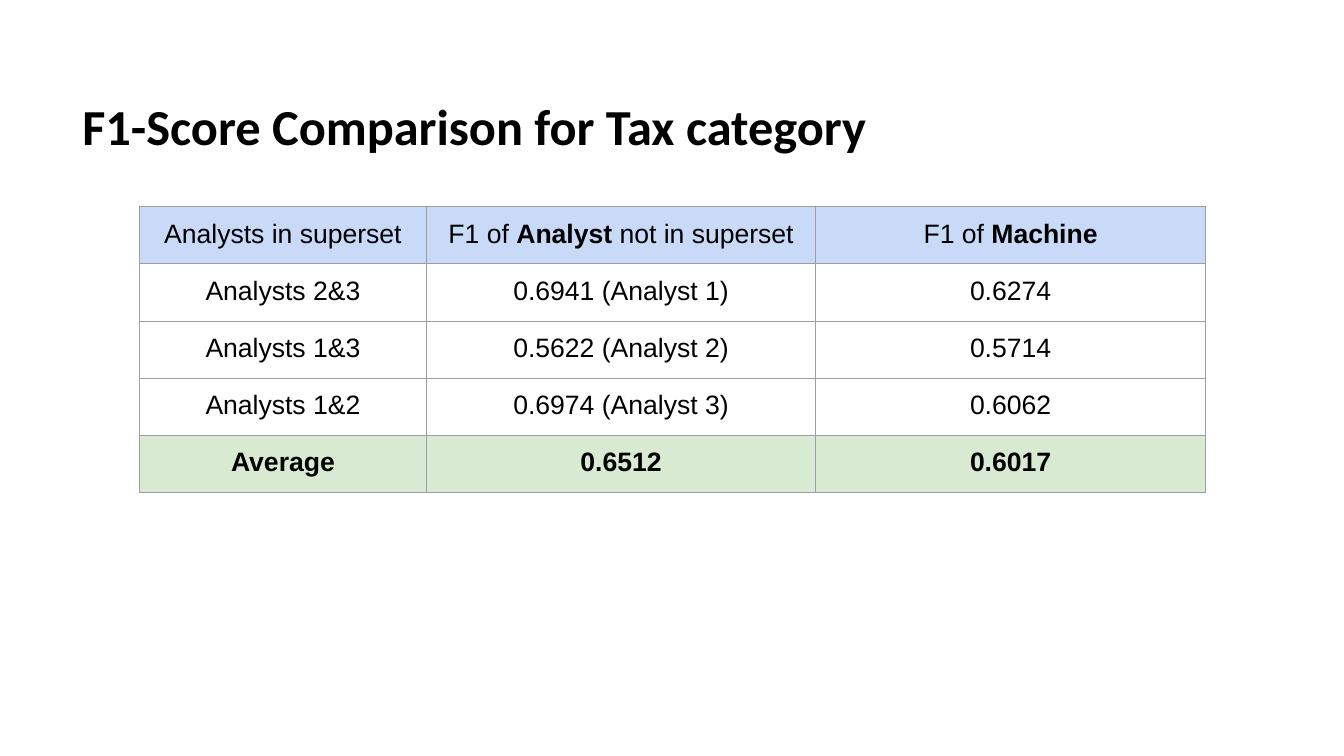
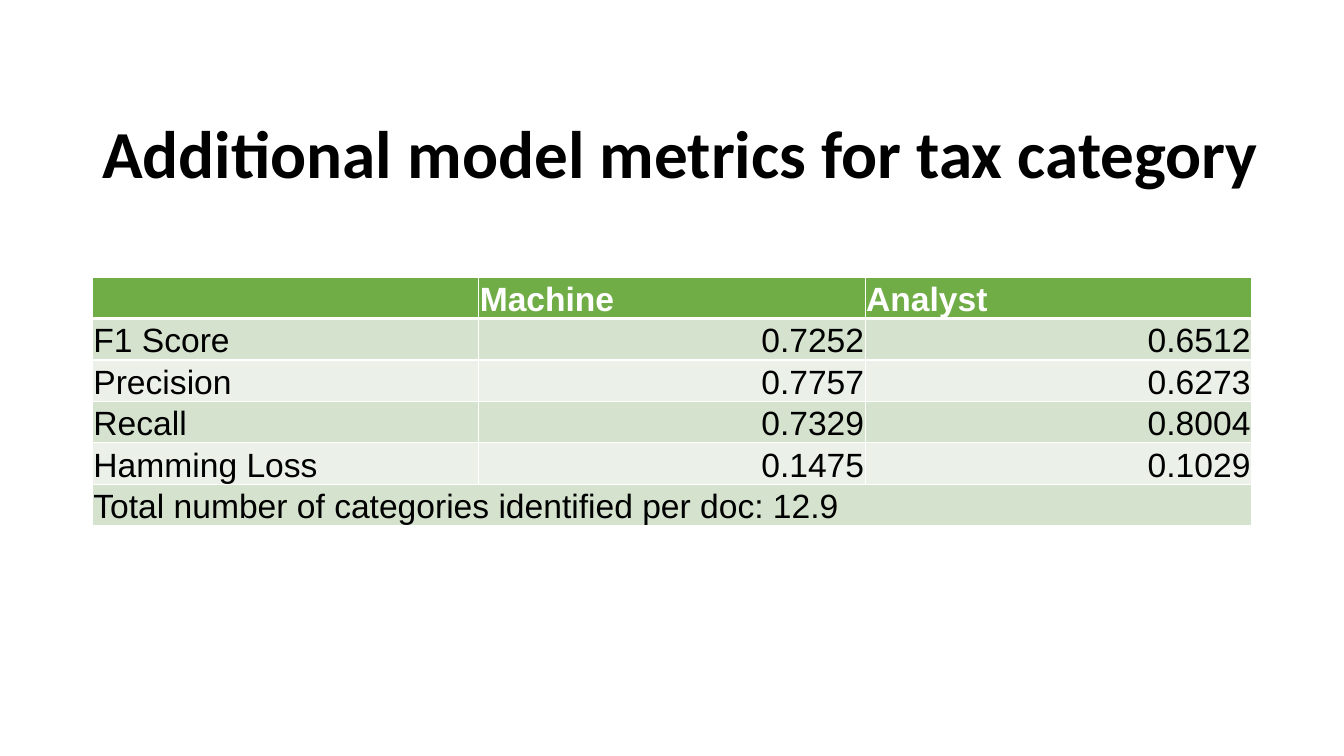
from dataclasses import dataclass

from lxml.etree import SubElement
from pptx import Presentation
from pptx.dml.color import RGBColor
from pptx.enum.text import MSO_ANCHOR as Anchor, PP_ALIGN as Align
from pptx.oxml.ns import qn
from pptx.util import Emu, Pt

EMU_PER_PX = 9525


@dataclass(frozen=True)
class Theme:
    title_font: str = "Calibri"
    body_font: str = "Arial"
    ink: str = "000000"
    paper: str = "FFFFFF"
    grid: str = "9E9E9E"
    blue_head: str = "C9DAF8"
    green_total: str = "D9EAD3"
    green_head: str = "70AD47"
    band_dark: str = "D4E2CE"
    band_light: str = "EBF1E8"
    title_size: int = 36
    large_title_size: int = 48
    table_size: int = 19
    large_table_size: int = 24


THEME = Theme()


def px(length):
    return Emu(length * EMU_PER_PX)


def write(frame, text, *, size, font=THEME.body_font, color=THEME.ink,
          bold=False, align=Align.LEFT, line_spacing=None):
    """Write one paragraph; words between ** marks are bold."""
    para = frame.paragraphs[0]
    para.alignment = align
    para.line_spacing = line_spacing
    for index, part in enumerate(text.split("**")):
        if not part:
            continue
        span = para.add_run()
        span.text = part
        span.font.name = font
        span.font.size = Pt(size)
        span.font.bold = bold or index % 2 == 1
        span.font.color.rgb = RGBColor.from_string(color)


def set_borders(cell, color, width, **edge_widths):
    """Draw all four edges; T=3 or B=3 gives one edge its own width in points."""
    properties = cell._tc.get_or_add_tcPr()
    for edge in "LRTB":
        line = SubElement(properties, qn(f"a:ln{edge}"),
                          w=str(Pt(edge_widths.get(edge, width))))
        fill = SubElement(line, qn("a:solidFill"))
        SubElement(fill, qn("a:srgbClr"), val=color)


class SlideBuilder:
    def __init__(self, deck, theme):
        self.deck = deck
        self.theme = theme
        self.slide = None

    def new_slide(self):
        self.slide = self.deck.slides.add_slide(self.deck.slide_layouts[6])

    def title(self, text, left, top, width, height, size):
        box = self.slide.shapes.add_textbox(*map(px, (left, top, width, height)))
        frame = box.text_frame
        frame.word_wrap = True
        frame.vertical_anchor = Anchor.MIDDLE
        write(frame, text, size=size, font=self.theme.title_font,
              bold=True, line_spacing=0.9)

    def table(self, rows, left, top, column_widths, row_height):
        """Add a plain table without text and return it."""
        frame = self.slide.shapes.add_table(
            len(rows), len(column_widths), px(left), px(top),
            px(sum(column_widths)), px(row_height * len(rows)))
        table = frame.table
        table.first_row = table.horz_banding = False
        for column, width in zip(table.columns, column_widths):
            column.width = px(width)
        for row in table.rows:
            row.height = px(row_height)
        return table

    def cell(self, cell, text, *, fill, margins, anchor=Anchor.TOP, **text_format):
        """Fill one cell; margins are left, top, right and bottom."""
        (cell.margin_left, cell.margin_top,
         cell.margin_right, cell.margin_bottom) = map(px, margins)
        cell.vertical_anchor = anchor
        cell.fill.solid()
        cell.fill.fore_color.rgb = RGBColor.from_string(fill)
        write(cell.text_frame, text, **text_format)

    def score_table(self, rows, left, top, column_widths, row_height):
        """Centred grid with a blue head and a green total row."""
        theme = self.theme
        table = self.table(rows, left, top, column_widths, row_height)
        last = len(rows) - 1
        fills = {0: theme.blue_head, last: theme.green_total}
        for r, row in enumerate(rows):
            for c, text in enumerate(row):
                cell = table.cell(r, c)
                set_borders(cell, theme.grid, 0.75)
                self.cell(cell, text, fill=fills.get(r, theme.paper),
                          margins=(12, 12, 12, 12), size=theme.table_size,
                          bold=r == last, align=Align.CENTER)

    def metric_table(self, rows, left, top, column_widths, row_height):
        """Green banded table whose last row spans all columns."""
        theme = self.theme
        table = self.table(rows, left, top, column_widths, row_height)
        last = len(rows) - 1
        table.cell(last, 0).merge(table.cell(last, len(column_widths) - 1))
        bands = (theme.band_light, theme.band_dark)
        head_edges = {0: {"B": 3}, 1: {"T": 3}}
        for r, row in enumerate(rows):
            head = r == 0
            for c, text in enumerate(row):
                cell = table.cell(r, c)
                set_borders(cell, theme.paper, 1, **head_edges.get(r, {}))
                self.cell(cell, text,
                          fill=theme.green_head if head else bands[r % 2],
                          margins=(1, 1, 1, 0), anchor=Anchor.BOTTOM,
                          size=theme.large_table_size, bold=head,
                          color=theme.paper if head else theme.ink,
                          align=Align.RIGHT if c and not head else Align.LEFT)


SCORES = [
    ("Analysts in superset", "F1 of **Analyst **not in superset", "F1 of **Machine**"),
    ("Analysts 2&3", "0.6941 (Analyst 1)", "0.6274"),
    ("Analysts 1&3", "0.5622 (Analyst 2)", "0.5714"),
    ("Analysts 1&2", "0.6974 (Analyst 3)", "0.6062"),
    ("Average", "0.6512", "0.6017"),
]

METRICS = [
    ("", "Machine", "Analyst"),
    ("F1 Score", "0.7252", "0.6512"),
    ("Precision", "0.7757", "0.6273"),
    ("Recall", "0.7329", "0.8004"),
    ("Hamming Loss", "0.1475", "0.1029"),
    ("Total number of categories identified per doc: 12.9",),
]


def main():
    deck = Presentation()
    deck.slide_width, deck.slide_height = px(1280), px(720)
    page = SlideBuilder(deck, THEME)

    page.new_slide()
    page.title("F1-Score Comparison for Tax category",
               69, 70, 1141, 106, THEME.title_size)
    page.score_table(SCORES, 133, 197, (273, 371, 371), 54)

    page.new_slide()
    page.title("Additional model metrics for tax category",
               88, 80, 1171, 139, THEME.large_title_size)
    page.metric_table(METRICS, 88, 264, (368, 368, 368), 39)

    deck.save("out.pptx")


if __name__ == "__main__":
    main()
